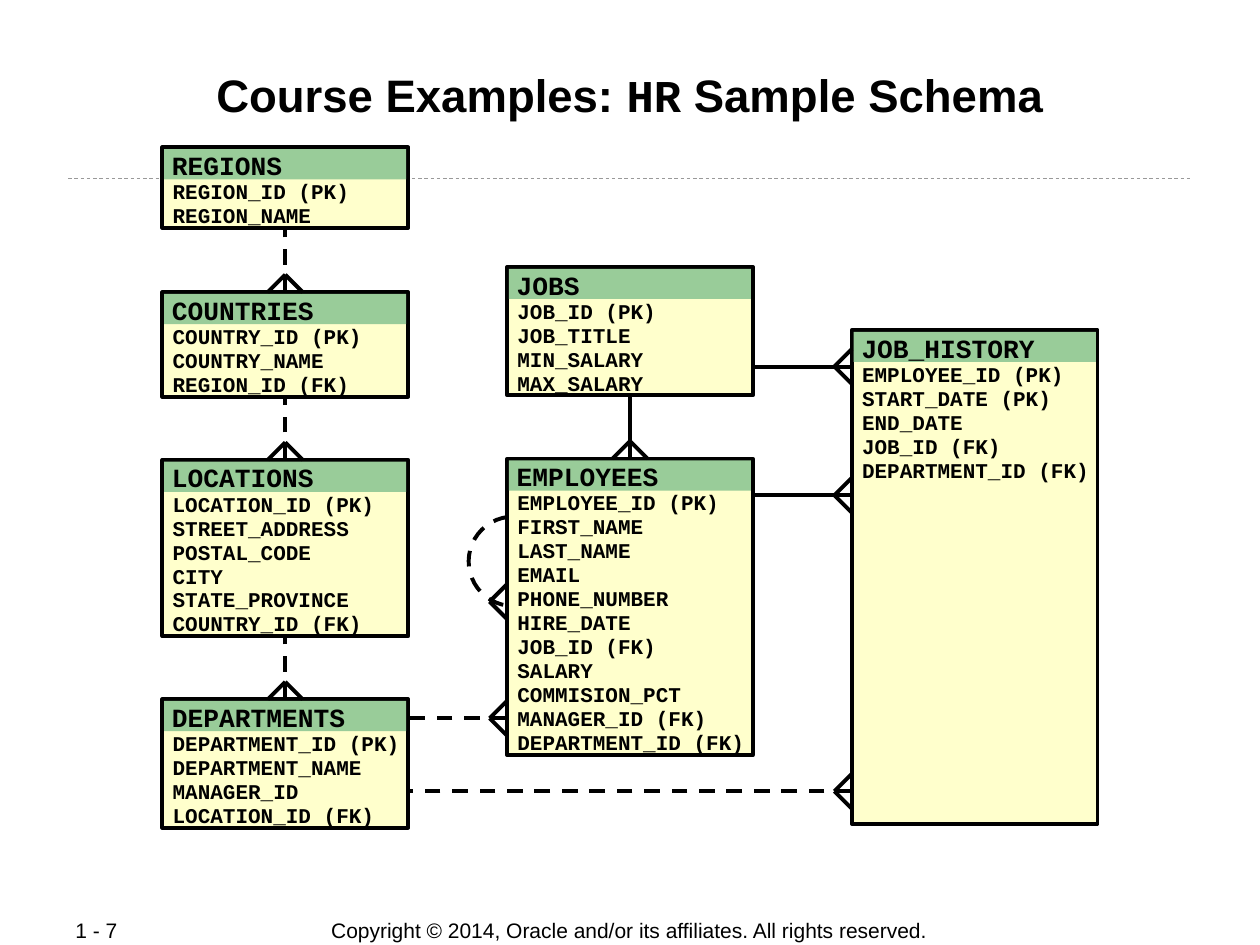
import dataclasses

import lxml.etree
import pptx
import pptx.dml.color
import pptx.enum.dml
import pptx.enum.shapes
import pptx.enum.text
import pptx.oxml.ns
import pptx.util

Pt = pptx.util.Pt
Align = pptx.enum.text.PP_ALIGN
Anchor = pptx.enum.text.MSO_ANCHOR
Shape = pptx.enum.shapes.MSO_SHAPE


@dataclasses.dataclass(frozen=True)
class Theme:
    ink: str = "000000"
    body: str = "FFFFCC"
    head: str = "99CC99"
    rule: str = "999999"
    sans: str = "Arial"
    mono: str = "Courier New"
    title: float = 26
    name: float = 15
    small: float = 12
    stroke: float = 2.25
    hair: float = 0.5


LEFT, STEP = 92.8, 197      # first column of tables and distance to the next
WIDE, HEAD, ROW = 140.4, 18.6, 13.7
FOOT = 10                   # length and half width of a crow's foot

TABLES = {  # name: (column, top, fields)
    "REGIONS": (0, 84.2, ["REGION_ID (PK)", "REGION_NAME"]),
    "COUNTRIES": (0, 167, ["COUNTRY_ID (PK)", "COUNTRY_NAME", "REGION_ID (FK)"]),
    "LOCATIONS": (0, 262.8, ["LOCATION_ID (PK)", "STREET_ADDRESS", "POSTAL_CODE",
                             "CITY", "STATE_PROVINCE", "COUNTRY_ID (FK)"]),
    "DEPARTMENTS": (0, 399.6, ["DEPARTMENT_ID (PK)", "DEPARTMENT_NAME",
                               "MANAGER_ID", "LOCATION_ID (FK)"]),
    "JOBS": (1, 152.6, ["JOB_ID (PK)", "JOB_TITLE", "MIN_SALARY", "MAX_SALARY"]),
    "EMPLOYEES": (1, 262.1, ["EMPLOYEE_ID (PK)", "FIRST_NAME", "LAST_NAME", "EMAIL",
                             "PHONE_NUMBER", "HIRE_DATE", "JOB_ID (FK)", "SALARY",
                             "COMMISION_PCT", "MANAGER_ID (FK)",
                             "DEPARTMENT_ID (FK)"]),
    "JOB_HISTORY": (2, 188.6, ["EMPLOYEE_ID (PK)", "START_DATE (PK)", "END_DATE",
                               "JOB_ID (FK)", "DEPARTMENT_ID (FK)"]),
}
TALL = {"JOB_HISTORY": 282.2}

DOWN = [("REGIONS", "COUNTRIES", True), ("COUNTRIES", "LOCATIONS", True),
        ("LOCATIONS", "DEPARTMENTS", True), ("JOBS", "EMPLOYEES", False)]
ACROSS = [("JOBS", "JOB_HISTORY", 209.5, False),
          ("EMPLOYEES", "JOB_HISTORY", 283, False),
          ("DEPARTMENTS", "EMPLOYEES", 410.4, True),
          ("DEPARTMENTS", "JOB_HISTORY", 452.2, True)]


class Sheet:
    def __init__(self, slide, theme):
        self.slide, self.theme = slide, theme

    def color(self, code):
        return pptx.dml.color.RGBColor.from_string(code)

    def run(self, para, text, size, font, bold=False):
        run = para.add_run()
        run.text = text
        run.font.size, run.font.name, run.font.bold = Pt(size), font, bold
        run.font.color.rgb = self.color(self.theme.ink)

    def frame(self, shape, pads, anchor=Anchor.TOP, wrap=True):
        """Set the insets (left, top, right, bottom) and flow of a text frame."""
        frame = shape.text_frame
        frame.auto_size = pptx.enum.text.MSO_AUTO_SIZE.NONE
        frame.word_wrap, frame.vertical_anchor = wrap, anchor
        (frame.margin_left, frame.margin_top,
         frame.margin_right, frame.margin_bottom) = map(Pt, pads)
        return frame

    def title(self, parts):
        shape = self.slide.shapes.title
        shape.left, shape.top, shape.width, shape.height = map(
            Pt, (48.2, 34.6, 623.5, 69.1))
        para = self.frame(shape, (0.7, 3.5, 0.7, 0.7)).paragraphs[0]
        para.alignment = Align.CENTER
        for text, font in parts:
            self.run(para, text, self.theme.title, font, True)

    def note(self, text, left, width, align, wrap):
        box = self.slide.shapes.add_textbox(*map(Pt, (left, 524.2, width, 14.8)))
        para = self.frame(box, (7.2, 3.6, 7.2, 3.6), Anchor.MIDDLE, wrap).paragraphs[0]
        para.alignment = align
        self.run(para, text, self.theme.small, self.theme.sans)

    def stroke(self, line, dash=False, code=None, width=None):
        line.color.rgb = self.color(code or self.theme.ink)
        line.width = Pt(width or self.theme.stroke)
        if dash:
            line.dash_style = pptx.enum.dml.MSO_LINE.DASH

    def line(self, start, end, *style):
        kind = pptx.enum.shapes.MSO_CONNECTOR.STRAIGHT
        line = self.slide.shapes.add_connector(kind, *map(Pt, (*start, *end)))
        self.stroke(line.line, *style)
        lxml.etree.SubElement(line._element.spPr, pptx.oxml.ns.qn("a:effectLst"))
        return line

    def foot(self, x, y, down=False):
        """Draw a crow's foot that opens onto a table's edge at (x, y)."""
        tip = (x, y - FOOT) if down else (x - FOOT, y)
        for side in (-FOOT, FOOT):
            self.line(tip, (x + side, y) if down else (x, y + side))

    def shape(self, kind, area, fill=None):
        shape = self.slide.shapes.add_shape(kind, *map(Pt, area))
        shape.shadow.inherit = False
        if fill:
            shape.fill.solid()
            shape.fill.fore_color.rgb = self.color(fill)
        else:
            shape.fill.background()
        return shape

    def loop(self, left, top, size, turn):
        ring = self.shape(Shape.OVAL, (left, top, size, size))
        ring.rotation = turn
        self.stroke(ring.line, True)

    def rows(self, shape, pads, texts, size, pitch):
        frame = self.frame(shape, pads)
        for i, text in enumerate(texts):
            para = frame.add_paragraph() if i else frame.paragraphs[0]
            para.alignment, para.line_spacing = Align.LEFT, Pt(pitch)
            self.run(para, text, size, self.theme.mono, True)

    def table(self, name, col, top, fields):
        """Draw an entity: a framed list of fields under a coloured name."""
        left = LEFT + STEP * col
        tall = TALL.get(name, HEAD + ROW * len(fields))
        box = self.shape(Shape.RECTANGLE, (left, top, WIDE, tall), self.theme.body)
        self.stroke(box.line)
        self.rows(box, (5.8, HEAD, 0, 0), fields, self.theme.small, ROW)
        bar = self.shape(Shape.RECTANGLE, (left + 1, top + 1, WIDE - 2, 17.3),
                         self.theme.head)
        bar.line.fill.background()
        self.rows(bar, (4.5, 0, 0, 0), [name], self.theme.name, 18)
        return box


def main():
    deck = pptx.Presentation()
    deck.slide_width, deck.slide_height = Pt(720), Pt(540)
    theme = Theme()
    sheet = Sheet(deck.slides.add_slide(deck.slide_layouts[5]), theme)

    sheet.title([("Course Examples: ", theme.sans), ("HR", theme.mono),
                 (" Sample Schema", theme.sans)])
    sheet.note("Copyright © 2014, Oracle and/or its affiliates. All rights reserved.",
               198, 323.3, Align.CENTER, False)
    sheet.note("1 - 7", 36, 76.3, Align.LEFT, True)
    sheet.line((38.9, 102.2), (681.1, 102.2), True, theme.rule, theme.hair)

    sheet.loop(267.8, 295.2, 51.1, 247.9)
    boxes = {name: sheet.table(name, *data) for name, data in TABLES.items()}

    for one, many, dash in DOWN:
        low = boxes[many]
        link = sheet.line((0, 0), (0, 0), dash)
        link.begin_connect(low, 0)
        link.end_connect(boxes[one], 2)
        sheet.foot(low.left.pt + WIDE / 2, low.top.pt, True)
    for one, many, y, dash in ACROSS:
        edge = boxes[many].left.pt
        sheet.line((edge, y), (boxes[one].left.pt + WIDE, y), dash)
        sheet.foot(edge, y)
    sheet.foot(boxes["EMPLOYEES"].left.pt, 343.8)

    deck.save("out.pptx")


if __name__ == "__main__":
    main()
